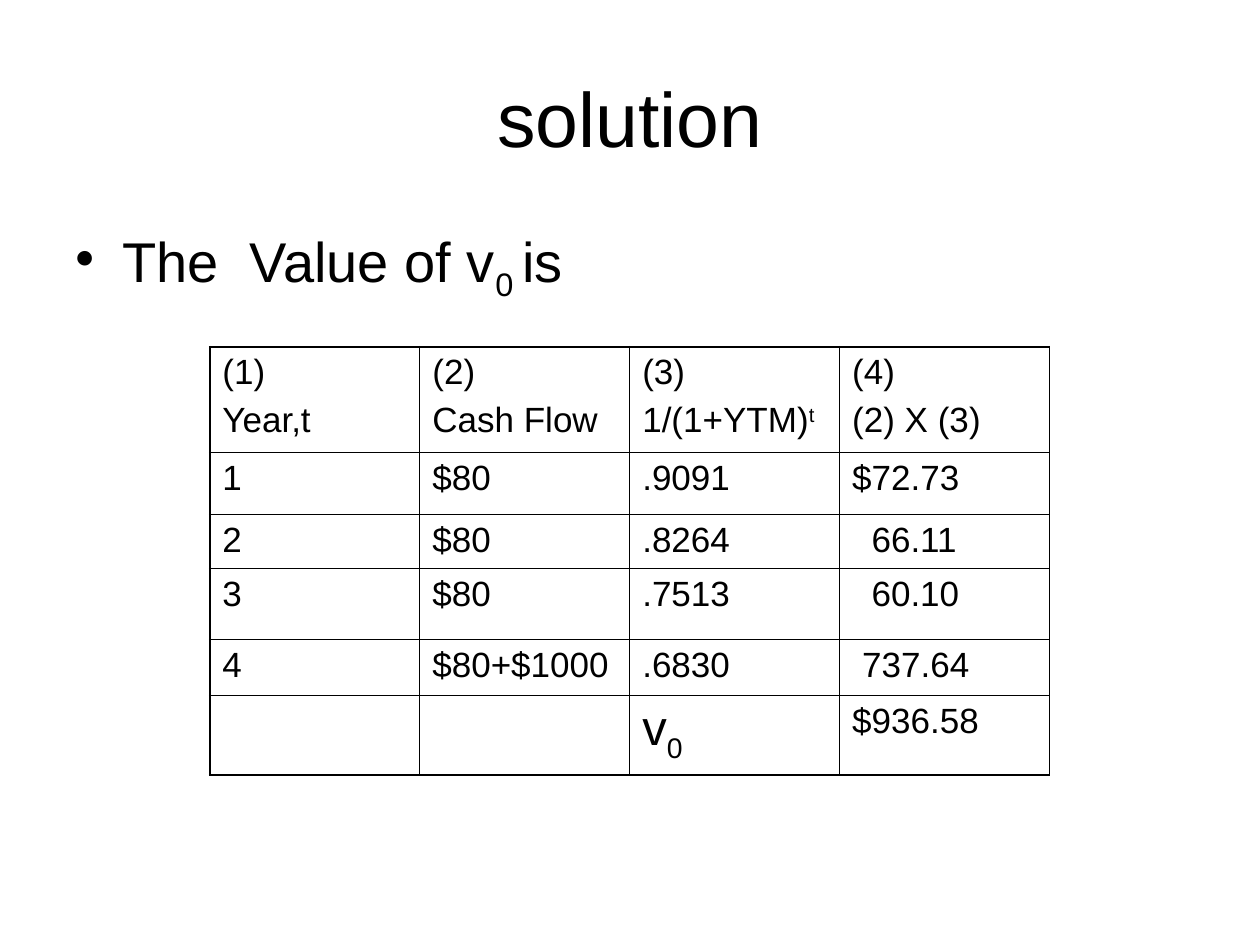
from lxml import etree
from pptx import Presentation
from pptx.dml.color import RGBColor
from pptx.enum.text import MSO_ANCHOR, PP_ALIGN
from pptx.oxml.ns import qn
from pptx.util import Cm, Pt

BLACK = RGBColor(0, 0, 0)
FONT = "Arial"
CENTER = PP_ALIGN.CENTER
MIDDLE = MSO_ANCHOR.MIDDLE
INNER_LINE, OUTER_LINE = Pt(0.45), Pt(1.08)
SUBSCRIPT, SUPERSCRIPT = -25000, 30000

# Each cell is a list of paragraphs, each paragraph a list of (text, baseline)
HEADINGS = [
    [[("(1)", 0)], [("Year,t", 0)]],
    [[("(2)", 0)], [("Cash Flow", 0)]],
    [[("(3)", 0)], [("1/(1+YTM)", 0), ("t", SUPERSCRIPT)]],
    [[("(4)", 0)], [("(2) X (3)", 0)]],
]
CASH_FLOWS = [
    ("1", "$80", ".9091", "$72.73"),
    ("2", "$80", ".8264", "66.11"),
    ("3", "$80", ".7513", "60.10"),
    ("4", "$80+$1000", ".6830", "737.64"),
]
TOTAL = [[], [], [[("v", 0), ("0", SUBSCRIPT)]], [[("$936.58", 0)]]]
ROW_HEIGHTS = [2.08, 1.25, 1.08, 1.42, 1.13, 1.53]
# Left indents that line up the present values, by (row, column)
INDENTS = {(2, 3): 0.39, (3, 3): 0.39, (4, 3): 0.2}


def write_paragraph(paragraph, runs, size, space_before=0):
    paragraph.font.name = FONT
    paragraph.font.size = Pt(size)
    paragraph.font.color.rgb = BLACK
    paragraph.space_before = Pt(space_before)
    for text, baseline in runs:
        run = paragraph.add_run()
        run.text = text
        if baseline:
            run._r.get_or_add_rPr().set("baseline", str(baseline))


def add_text_box(slide, left, top, width, height):
    frame = slide.shapes.add_textbox(left, top, width, height).text_frame
    frame.word_wrap = True
    return frame


def add_title(slide, left, top, width, height):
    frame = add_text_box(slide, left, top, width, height)
    frame.vertical_anchor = MIDDLE
    paragraph = frame.paragraphs[0]
    paragraph.alignment = CENTER
    write_paragraph(paragraph, [("solution", 0)], 44)


def add_statement(slide, left, top, width, height):
    paragraph = add_text_box(slide, left, top, width, height).paragraphs[0]
    runs = [("The  Value of v", 0), ("0 ", SUBSCRIPT), ("is", 0)]
    write_paragraph(paragraph, runs, 32, space_before=8)
    # Hanging bullet
    properties = paragraph._p.get_or_add_pPr()
    properties.set("marL", str(Cm(0.95)))
    properties.set("indent", str(-Cm(0.95)))
    bullet = etree.Element(qn("a:buChar"), char="•")
    properties.find(qn("a:defRPr")).addprevious(bullet)


def set_borders(cell, widths):
    properties = cell._tc.get_or_add_tcPr()
    for position, (side, width) in enumerate(widths.items()):
        line = etree.Element(qn(f"a:ln{side}"), w=str(width))
        fill = etree.SubElement(line, qn("a:solidFill"))
        etree.SubElement(fill, qn("a:srgbClr"), val=str(BLACK))
        properties.insert(position, line)


def add_value_table(slide, left, top, width, height):
    rows = [HEADINGS]
    rows += [[[[(text, 0)]] for text in values] for values in CASH_FLOWS]
    rows.append(TOTAL)
    last_row, last_column = len(rows) - 1, len(HEADINGS) - 1
    table = slide.shapes.add_table(
        len(rows), len(HEADINGS), left, top, width, height).table
    table.first_row = table.horz_banding = False
    for row, row_height in zip(table.rows, ROW_HEIGHTS):
        row.height = Cm(row_height)

    for r, row in enumerate(rows):
        for c, paragraphs in enumerate(row):
            cell = table.cell(r, c)
            cell.fill.background()
            set_borders(cell, {
                "L": OUTER_LINE if c == 0 else INNER_LINE,
                "R": OUTER_LINE if c == last_column else INNER_LINE,
                "T": OUTER_LINE if r == 0 else INNER_LINE,
                "B": OUTER_LINE if r == last_row else INNER_LINE,
            })
            frame = cell.text_frame
            for index, runs in enumerate(paragraphs):
                paragraph = frame.add_paragraph() if index else frame.paragraphs[0]
                is_symbol = (r, c) == (last_row, 2)
                size, space = (28, 7) if is_symbol else (20, 5)
                write_paragraph(paragraph, runs, size, space)
                if (r, c) in INDENTS:
                    indent = Cm(INDENTS[r, c])
                    paragraph._p.get_or_add_pPr().set("marL", str(indent))


def main():
    presentation = Presentation()
    presentation.slide_width, presentation.slide_height = Cm(25.4), Cm(19.05)
    slide = presentation.slides.add_slide(presentation.slide_layouts[6])
    add_title(slide, Cm(1.27), Cm(0.76), Cm(22.86), Cm(3.18))
    add_statement(slide, Cm(1.27), Cm(4.45), Cm(22.86), Cm(12.57))
    add_value_table(slide, Cm(4.23), Cm(6.99), Cm(16.93), Cm(8.5))
    presentation.save("out.pptx")


if __name__ == "__main__":
    main()
